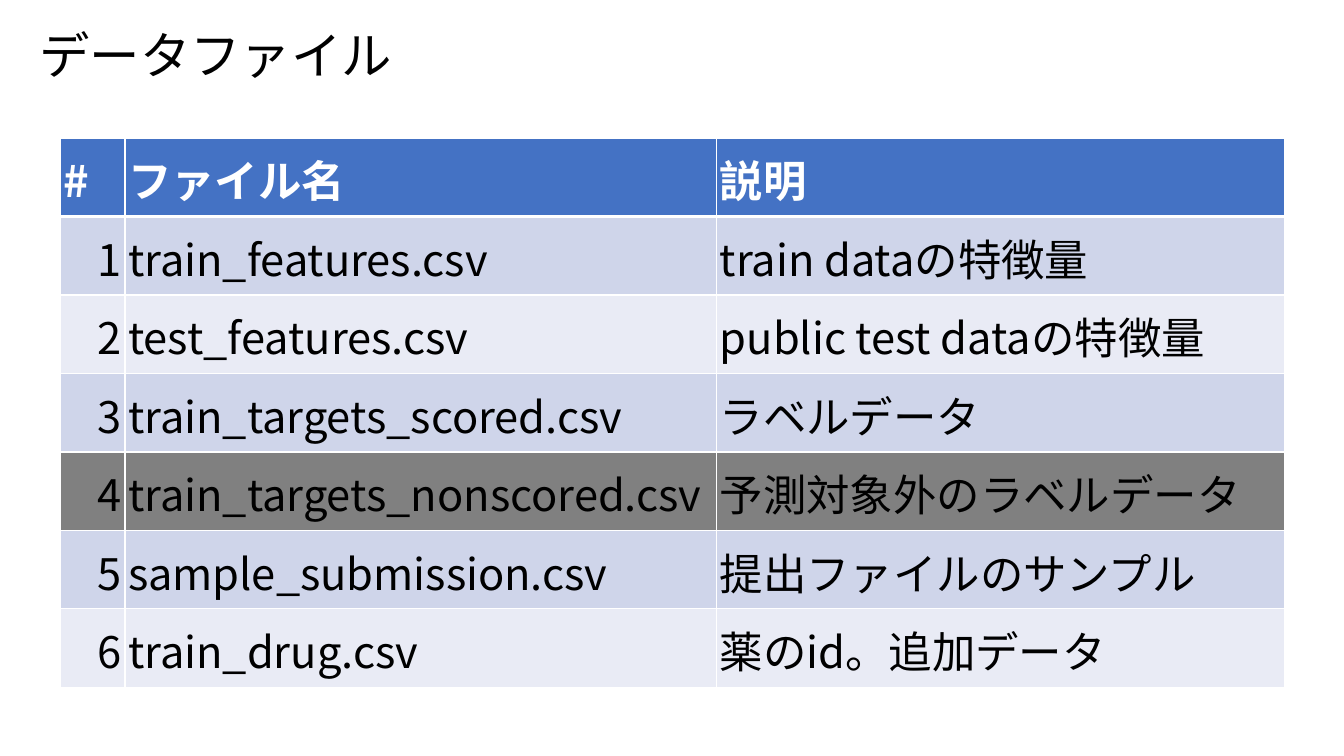
from lxml import etree
from pptx import Presentation
from pptx.dml.color import RGBColor
from pptx.enum.text import MSO_ANCHOR, PP_ALIGN
from pptx.oxml.ns import qn
from pptx.util import Inches, Pt

LEFT, RIGHT = PP_ALIGN.LEFT, PP_ALIGN.RIGHT
MIDDLE = MSO_ANCHOR.MIDDLE
FONT = "Noto Sans CJK JP"
BLACK = RGBColor(0x00, 0x00, 0x00)
WHITE = RGBColor(0xFF, 0xFF, 0xFF)
BLUE = RGBColor(0x44, 0x72, 0xC4)
DARK = RGBColor(0xCF, 0xD5, 0xEA)
LIGHT = RGBColor(0xE9, 0xEB, 0xF5)
GREY = RGBColor(0x80, 0x80, 0x80)

HEAD = ("#", "ファイル名", "説明")
FILES = [
    ("train_features.csv", "train dataの特徴量"),
    ("test_features.csv", "public test dataの特徴量"),
    ("train_targets_scored.csv", "ラベルデータ"),
    ("train_targets_nonscored.csv", "予測対象外のラベルデータ"),
    ("sample_submission.csv", "提出ファイルのサンプル"),
    ("train_drug.csv", "薬のid。追加データ"),
]
UNUSED = 4
COLS = (0.64, 5.87, 5.63)


def style(para, size, color, bold=False, align=LEFT):
    """Format a paragraph and its runs, East Asian font included."""
    para.alignment = align
    for run in para.runs:
        font = run.font
        font.name, font.size, font.bold = FONT, Pt(size), bold
        font.color.rgb = color
        east = etree.SubElement(run._r.get_or_add_rPr(), qn("a:ea"))
        east.set("typeface", FONT)


def border(cell, top, bottom):
    """Draw white lines round a cell, ahead of its fill."""
    props = cell._tc.get_or_add_tcPr()
    sides = (("L", 1), ("R", 1), ("T", top), ("B", bottom))
    for spot, (side, width) in enumerate(sides):
        line = etree.Element(qn("a:ln" + side), w=str(Pt(width)))
        fill = etree.SubElement(line, qn("a:solidFill"))
        etree.SubElement(fill, qn("a:srgbClr"), val=str(WHITE))
        props.insert(spot, line)


def add_title(slide, text, left, top, width, height):
    """Place and format the title."""
    title = slide.shapes.title
    title.left, title.top = Inches(left), Inches(top)
    title.width, title.height = Inches(width), Inches(height)
    frame = title.text_frame
    frame.text = text
    frame.vertical_anchor = MIDDLE
    frame.paragraphs[0].line_spacing = 0.9
    style(frame.paragraphs[0], 36, BLACK)


def row_fill(row):
    """Return the fill of a table row."""
    if row == 0:
        return BLUE
    if row == UNUSED:
        return GREY
    return DARK if row % 2 else LIGHT


def fill_cell(cell, text, row, col):
    """Write and format one table cell."""
    head = row == 0
    cell.text = text
    cell.vertical_anchor = MIDDLE
    cell.margin_left = cell.margin_right = cell.margin_top = Inches(0.03)
    cell.margin_bottom = 0
    cell.fill.solid()
    cell.fill.fore_color.rgb = row_fill(row)
    border(cell, 3 if row == 1 else 1, 3 if head else 1)
    style(cell.text_frame.paragraphs[0], 31, WHITE if head else BLACK,
          head, RIGHT if col == 0 and not head else LEFT)


def add_files(slide, left, top, width, height):
    """Add the numbered table of data files."""
    rows = [HEAD] + [(str(num), *file) for num, file in enumerate(FILES, 1)]
    table = slide.shapes.add_table(
        len(rows), len(COLS), Inches(left), Inches(top),
        Inches(width), Inches(height)).table
    for col, share in zip(table.columns, COLS):
        col.width = Inches(width * share / sum(COLS))
    for row, texts in enumerate(rows):
        table.rows[row].height = Inches(height / len(rows))
        for col, text in enumerate(texts):
            fill_cell(table.cell(row, col), text, row, col)


def main():
    """Build and save the slide."""
    deck = Presentation()
    deck.slide_width, deck.slide_height = Inches(13.33), Inches(7.5)
    slide = deck.slides.add_slide(deck.slide_layouts[5])
    add_title(slide, "データファイル", 0.29, 0.09, 12.13, 0.97)
    add_files(slide, 0.6, 1.37, 12.14, 5.45)
    deck.save("out.pptx")


main()
